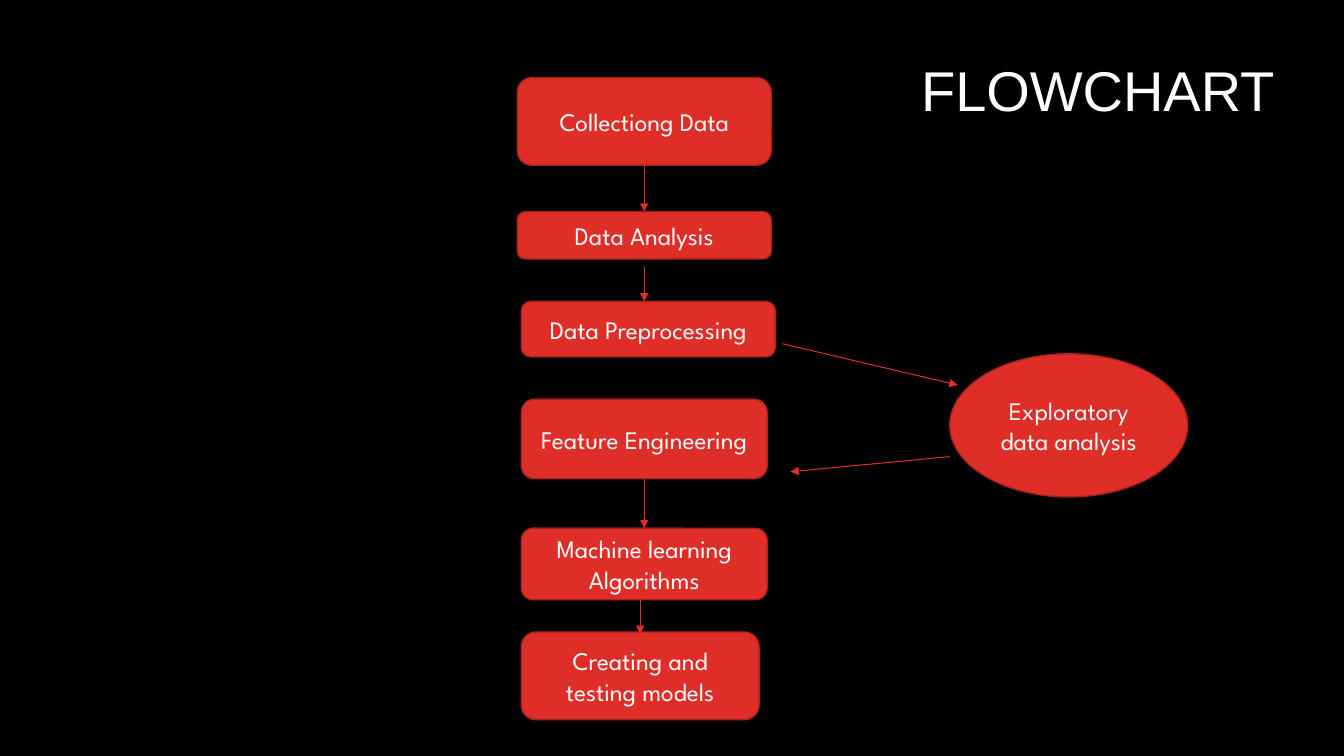
from dataclasses import dataclass

from lxml import etree
from pptx import Presentation
from pptx.dml.color import RGBColor
from pptx.enum.shapes import MSO_CONNECTOR, MSO_SHAPE
from pptx.enum.text import MSO_ANCHOR, PP_ALIGN
from pptx.oxml.ns import qn
from pptx.slide import Slide
from pptx.text.text import TextFrame
from pptx.util import Inches, Pt

ROUNDED = MSO_SHAPE.ROUNDED_RECTANGLE
ELLIPSE = MSO_SHAPE.OVAL
STRAIGHT = MSO_CONNECTOR.STRAIGHT
MIDDLE = MSO_ANCHOR.MIDDLE
CENTER, RIGHT = PP_ALIGN.CENTER, PP_ALIGN.RIGHT
TITLE_ONLY = 5


@dataclass(frozen=True)
class Theme:
    background: RGBColor = RGBColor(0x00, 0x00, 0x00)
    text: RGBColor = RGBColor(0xFF, 0xFF, 0xFF)
    accent: RGBColor = RGBColor(0xDF, 0x2E, 0x28)
    outline: RGBColor = RGBColor(0xA5, 0x22, 0x1E)
    title_font: str = "Arial"
    step_font: str = "League Spartan"
    title_size: int = 40
    step_size: int = 18
    outline_width: float = 1
    arrow_width: float = 0.75


@dataclass(frozen=True)
class Step:
    label: str
    left: float
    top: float
    width: float
    height: float
    outline: MSO_SHAPE = ROUNDED


@dataclass(frozen=True)
class Arrow:
    start: tuple[float, float]
    end: tuple[float, float]


THEME = Theme()

STEPS = [
    Step("Collectiong Data", 5.13, 0.77, 2.52, 0.87),
    Step("Data Analysis", 5.13, 2.1, 2.52, 0.47),
    Step("Data Preprocessing", 5.17, 2.99, 2.52, 0.55),
    Step("Feature Engineering", 5.17, 3.96, 2.44, 0.79),
    Step("Machine learning Algorithms", 5.17, 5.24, 2.44, 0.71),
    Step("Creating and testing models", 5.17, 6.27, 2.36, 0.87),
    Step("Exploratory data analysis", 9.42, 3.51, 2.36, 1.42, ELLIPSE),
]

ARROWS = [
    Arrow((6.39, 1.64), (6.39, 2.1)),
    Arrow((6.39, 2.65), (6.39, 2.99)),
    Arrow((6.39, 4.75), (6.39, 5.24)),
    Arrow((6.35, 5.88), (6.35, 6.29)),
    # Detour through the exploratory analysis
    Arrow((7.76, 3.41), (9.5, 3.82)),
    Arrow((9.42, 4.53), (7.84, 4.68)),
]


def write_text(frame: TextFrame, text: str, *, font: str, size: float,
               align: PP_ALIGN, line_spacing: float = 1.0) -> None:
    frame.word_wrap = True
    frame.vertical_anchor = MIDDLE
    paragraph = frame.paragraphs[0]
    paragraph.alignment = align
    paragraph.line_spacing = line_spacing
    run = paragraph.add_run()
    run.text = text
    run.font.name = font
    run.font.size = Pt(size)
    run.font.color.rgb = THEME.text


def add_title(slide: Slide, text: str) -> None:
    title = slide.shapes.title
    title.left, title.top = Inches(0.84), Inches(0.49)
    title.width, title.height = Inches(11.9), Inches(0.87)
    write_text(title.text_frame, text, font=THEME.title_font,
               size=THEME.title_size, align=RIGHT, line_spacing=0.9)


def add_step(slide: Slide, step: Step) -> None:
    node = slide.shapes.add_shape(
        step.outline, Inches(step.left), Inches(step.top),
        Inches(step.width), Inches(step.height))
    node.shadow.inherit = False
    node.fill.solid()
    node.fill.fore_color.rgb = THEME.accent
    node.line.color.rgb = THEME.outline
    node.line.width = Pt(THEME.outline_width)
    write_text(node.text_frame, step.label, font=THEME.step_font,
               size=THEME.step_size, align=CENTER)


def add_arrow(slide: Slide, arrow: Arrow) -> None:
    ends = [Inches(value) for value in (*arrow.start, *arrow.end)]
    connector = slide.shapes.add_connector(STRAIGHT, *ends)
    connector.line.color.rgb = THEME.accent
    connector.line.width = Pt(THEME.arrow_width)
    head = etree.SubElement(connector.line._get_or_add_ln(), qn("a:tailEnd"))
    head.set("type", "triangle")
    etree.SubElement(connector._element.spPr, qn("a:effectLst"))


def main() -> None:
    deck = Presentation()
    deck.slide_width, deck.slide_height = Inches(13.33), Inches(7.5)
    slide = deck.slides.add_slide(deck.slide_layouts[TITLE_ONLY])
    slide.background.fill.solid()
    slide.background.fill.fore_color.rgb = THEME.background

    add_title(slide, "FLOWCHART")
    for step in STEPS:
        add_step(slide, step)
    for arrow in ARROWS:
        add_arrow(slide, arrow)

    deck.save("out.pptx")


if __name__ == "__main__":
    main()
